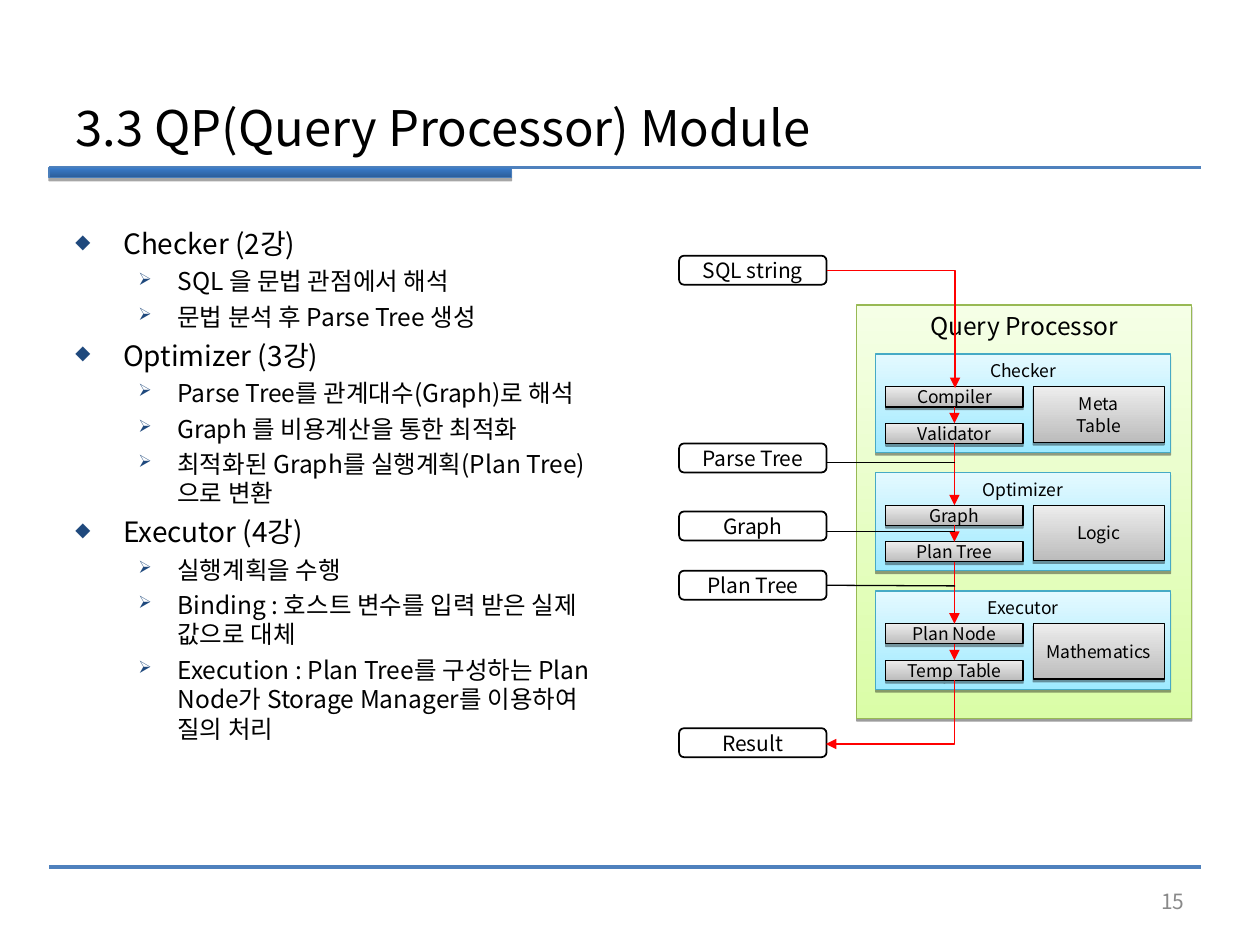
from lxml.etree import SubElement
from pptx import Presentation
from pptx.dml.color import RGBColor
from pptx.enum.shapes import MSO_CONNECTOR as Link, MSO_SHAPE as Shape
from pptx.enum.text import MSO_ANCHOR as Anchor, PP_ALIGN as Align
from pptx.oxml.ns import qn
from pptx.util import Inches, Pt

FONT = "Noto Sans CJK KR"
BLACK, RED, BLUE, NAVY = "000000", "FF0000", "4F81BD", "1F497D"
GREEN_FILL, CYAN_FILL, GRAY_FILL = ("DAFDA7", "F5FFE6"), ("9EEAFF", "E4F9FF"), ("BCBCBC", "EDEDED")
TOP, BOTTOM, RIGHT = 0, 2, 3

TOPICS = [
    ("Checker (2강)", ["SQL 을 문법 관점에서 해석", "문법 분석 후 Parse Tree 생성"]),
    ("Optimizer (3강)", ["Parse Tree를 관계대수(Graph)로 해석",
                        "Graph 를 비용계산을 통한 최적화",
                        "최적화된 Graph를 실행계획(Plan Tree)으로 변환"]),
    ("Executor (4강)", ["실행계획을 수행",
                       "Binding : 호스트 변수를 입력 받은 실제 값으로 대체",
                       "Execution : Plan Tree를 구성하는 Plan Node가 "
                       "Storage Manager를 이용하여 질의 처리"]),
]
STAGES = [
    ("Checker", "Compiler", "Validator", "Meta\nTable"),
    ("Optimizer", "Graph", "Plan Tree", "Logic"),
    ("Executor", "Plan Node", "Temp Table", "Mathematics"),
]


def color(value):
    return RGBColor.from_string(value)


def format_runs(para, size, value=BLACK):
    for span in para.runs:
        span.font.size = Pt(size)
        span.font.name = FONT
        span.font.color.rgb = color(value)
        SubElement(span.font._element, qn("a:ea"), typeface=FONT)


def write(shape, text, size, value=BLACK, align=Align.CENTER, anchor=Anchor.MIDDLE):
    frame = shape.text_frame
    frame.text = text
    frame.word_wrap = True
    frame.vertical_anchor = anchor
    for para in frame.paragraphs:
        para.alignment = align
        format_runs(para, size, value)


def add_line(page, start, end, value, width=0.75, kind=Link.STRAIGHT, arrow=False):
    line = page.shapes.add_connector(kind, *map(Inches, start + end))
    line.line.color.rgb = color(value)
    line.line.width = Pt(width)
    if arrow:
        SubElement(line.line._get_or_add_ln(), qn("a:tailEnd"), type="triangle")
    SubElement(line._element.spPr, qn("a:effectLst"))
    return line


def add_corner(page, start, end, turn=0):
    """Red arrow with one corner; turn rotates it clockwise in degrees."""
    line = add_line(page, start, end, RED, kind=Link.ELBOW, arrow=True)
    properties = line._element.spPr
    properties.find(qn("a:prstGeom")).set("prst", "bentConnector2")
    if turn:
        properties.find(qn("a:xfrm")).set("rot", str(turn * 60000))


def add_panel(page, box, fill, border, distance=1.57, opacity=38):
    """Rectangle with a vertical gradient, from bottom to top, and a soft drop."""
    panel = page.shapes.add_shape(Shape.RECTANGLE, *map(Inches, box))
    panel.fill.gradient()
    panel.fill.gradient_angle = 90
    for stop, value, position in zip(panel.fill.gradient_stops, fill, (0, 1)):
        stop.color.rgb = color(value)
        stop.position = position
    panel.line.color.rgb = color(border)
    panel.line.width = Pt(0.75)
    panel.shadow.inherit = False
    effects = panel._element.spPr.find(qn("a:effectLst"))
    drop = SubElement(effects, qn("a:outerShdw"), blurRad="0", dist=str(Pt(distance)),
                      dir="5400000", rotWithShape="0")
    tint = SubElement(drop, qn("a:srgbClr"), val=BLACK)
    SubElement(tint, qn("a:alpha"), val=str(opacity * 1000))
    return panel


def add_frame(page, left, right):
    for y in (6.88, 1.33):
        add_line(page, (left, y), (right, y), BLUE, 2)
    add_panel(page, (left, 1.33, 3.67, 0.08), ("2C5D98", "3A7CCB"), "4A7EBB", 1.81, 35)
    number = page.shapes.add_textbox(*map(Inches, (7.17, 6.95, 2.33, 0.4)))
    write(number, "15", 12, "898989", Align.RIGHT)


def add_title(page, box):
    title = page.shapes.title
    title.left, title.top, title.width, title.height = map(Inches, box)
    write(title, "3.3 QP(Query Processor) Module", 28, align=Align.LEFT)


def add_bullet(para, char, margin, hanging):
    properties = para._p.get_or_add_pPr()
    properties.set("marL", str(Inches(margin)))
    properties.set("indent", str(-Inches(hanging)))
    SubElement(SubElement(properties, qn("a:buClr")), qn("a:srgbClr"), val=NAVY)
    SubElement(properties, qn("a:buSzPct"), val="70000")
    SubElement(properties, qn("a:buChar"), char=char)


def add_topics(page, box):
    frame = page.shapes.add_textbox(*map(Inches, box)).text_frame
    frame.word_wrap = True
    items = [(level, text) for heading, details in TOPICS
             for level, text in [(0, heading)] + [(1, detail) for detail in details]]
    for index, (level, text) in enumerate(items):
        para = frame.add_paragraph() if index else frame.paragraphs[0]
        para.text = text
        para.level = level
        add_bullet(para, *(("◆", 0.38, 0.38), ("➢", 0.81, 0.31))[level])
        if index:
            para.space_before = Pt((4, 3.5)[level])
        format_runs(para, (16, 14)[level])


def add_stage(page, left, top, names):
    """Draw one stage and return its two steps."""
    heading, first, second, resource = names
    panel = add_panel(page, (left, top, 2.34, 0.78), CYAN_FILL, "46AAC5")
    write(panel, heading, 10, anchor=Anchor.TOP)
    parts = []
    for text, x, y, width, height in ((first, 0.08, 0.26, 1.09, 0.16),
                                      (second, 0.08, 0.55, 1.09, 0.16),
                                      (resource, 1.25, 0.26, 1.04, 0.44)):
        part = add_panel(page, (left + x, top + y, width, height), GRAY_FILL, BLACK)
        write(part, text, 10)
        parts.append(part)
    return parts[:2]


def add_processor(page, left, top):
    """Draw the processor and return its steps in order."""
    panel = add_panel(page, (left, top, 2.66, 3.28), GREEN_FILL, "98B954")
    write(panel, "Query Processor", 14, anchor=Anchor.TOP)
    return [step for row, names in enumerate(STAGES)
            for step in add_stage(page, left + 0.15, top + 0.39 + 0.94 * row, names)]


def add_label(page, left, top, text):
    label = page.shapes.add_shape(Shape.ROUNDED_RECTANGLE,
                                  *map(Inches, (left, top, 1.17, 0.23)))
    label.fill.solid()
    label.fill.fore_color.rgb = color("FFFFFF")
    label.line.color.rgb = color(BLACK)
    label.line.width = Pt(1)
    label.shadow.inherit = False
    write(label, text, 12)
    return label


def add_flow(page, left, top):
    steps = add_processor(page, left + 1.41, top + 0.39)
    labels = {text: add_label(page, left, top + y, text)
              for text, y in (("SQL string", 0), ("Parse Tree", 1.49), ("Graph", 2.03),
                              ("Plan Tree", 2.5), ("Result", 3.75))}
    edge, spine = left + 1.17, left + 2.19
    add_corner(page, (edge, top + 0.12), (spine, top + 1.05))
    for upper, lower in zip(steps, steps[1:]):
        arrow = add_line(page, (spine, top), (spine, top), RED, arrow=True)
        arrow.begin_connect(upper, BOTTOM)
        arrow.end_connect(lower, TOP)
    add_corner(page, (left + 1.42, top + 3.11), (left + 1.93, top + 4.13), 90)
    for y in (1.64, 2.19, 2.62):
        tap = add_line(page, (spine, top + y), (edge, top + y), BLACK)
    tap.end_connect(labels["Plan Tree"], RIGHT)


def main():
    deck = Presentation()
    deck.slide_width, deck.slide_height = Inches(10), Inches(7.5)
    page = deck.slides.add_slide(deck.slide_layouts[5])
    add_frame(page, 0.39, 9.53)
    add_title(page, (0.5, 0.7, 9, 0.62))
    add_topics(page, (0.5, 1.75, 4.42, 4.95))
    add_flow(page, 5.39, 2.03)
    deck.save("out.pptx")


if __name__ == "__main__":
    main()
